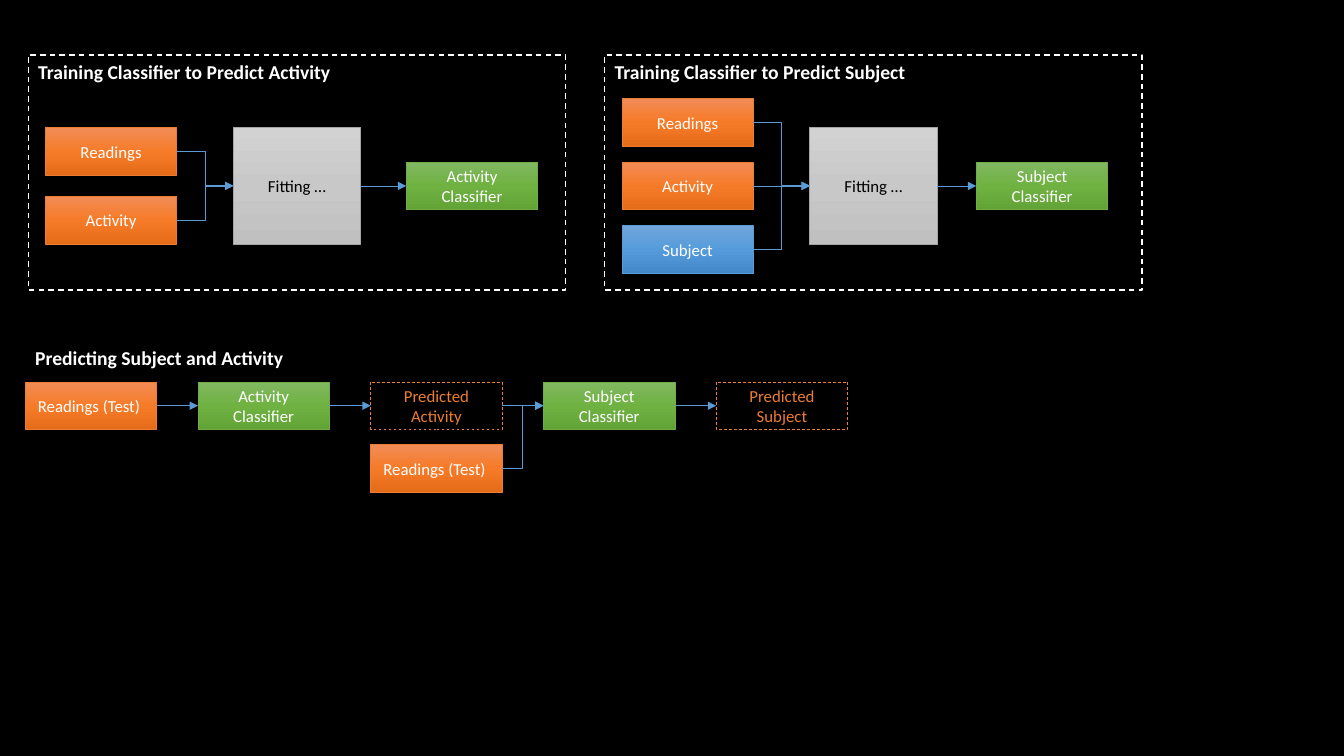
from copy import deepcopy

from lxml import etree
from pptx import Presentation
from pptx.dml.color import RGBColor
from pptx.enum import dml, shapes, text
from pptx.oxml.ns import qn
from pptx.util import Pt

BLACK = RGBColor(0x00, 0x00, 0x00)
WHITE = RGBColor(0xFF, 0xFF, 0xFF)
ORANGE = RGBColor(0xED, 0x7D, 0x31)
BLUE = RGBColor(0x5B, 0x9B, 0xD5)
GREEN = RGBColor(0x70, 0xAD, 0x47)
GREY = RGBColor(0xA5, 0xA5, 0xA5)

# kind: (gradient from top to bottom, outline, text colour)
STYLES = {
    "data": ([RGBColor(0xF1, 0x8C, 0x57), RGBColor(0xF6, 0x7B, 0x28),
              RGBColor(0xE5, 0x6C, 0x19)], ORANGE, WHITE),
    "subject": ([RGBColor(0x71, 0xA6, 0xDB), RGBColor(0x55, 0x9B, 0xDB),
                 RGBColor(0x44, 0x8A, 0xCA)], BLUE, WHITE),
    "classifier": ([RGBColor(0x81, 0xB8, 0x61), RGBColor(0x6F, 0xB2, 0x42),
                    RGBColor(0x62, 0xA3, 0x36)], GREEN, WHITE),
    "fitting": ([RGBColor(0xD2, 0xD2, 0xD2), RGBColor(0xC8, 0xC8, 0xC8),
                 RGBColor(0xC0, 0xC0, 0xC0)], GREY, BLACK),
    "predicted": (None, ORANGE, ORANGE),
}

# title, panel left, classifier left, input pitch, inputs, classifier
PANELS = [
    ("Training Classifier to Predict Activity", 20.2, 290.2, 49,
     [("Readings", "data"), ("Activity", "data")], "Activity Classifier"),
    ("Training Classifier to Predict Subject", 432, 697.4, 45.4,
     [("Readings", "data"), ("Activity", "data"), ("Subject", "subject")],
     "Subject Classifier"),
]
PREDICTION_TITLE = "Predicting Subject and Activity"
PREDICTION_STEPS = [
    ("Readings (Test) ", "data"),
    ("Activity Classifier", "classifier"),
    ("Predicted Activity", "predicted"),
    ("Subject Classifier", "classifier"),
    ("Predicted Subject", "predicted"),
]
SECOND_INPUT = ("Readings (Test) ", "data")

BOX_W, BOX_H = 93.9, 34
FIT_W, FIT_H = 91, 83.6
PANEL_TOP, PANEL_W, PANEL_H = 39.4, 383.8, 167.8
INPUT_DX, FIT_DX = 12.2, 146.5
PANEL_MID = 132.8
ROW_LEFT, ROW_MID, ROW_PITCH = 18, 289.8, 123.4
SECOND_INPUT_DY = 44.8

prs = Presentation()
prs.slide_width, prs.slide_height = Pt(960), Pt(540)
slide = prs.slides.add_slide(prs.slide_layouts[6])
slide.background.fill.solid()
slide.background.fill.fore_color.rgb = BLACK


def write(sp, words, size, color, bold, align):
    tf = sp.text_frame
    tf.word_wrap = True
    tf.text = words
    p = tf.paragraphs[0]
    p.alignment = align
    font = p.runs[0].font
    font.name, font.size, font.bold = "Calibri", Pt(size), bold
    font.color.rgb = color


def rect(x, y, w, h, line, width, dashed):
    sp = slide.shapes.add_shape(shapes.MSO_SHAPE.RECTANGLE,
                                Pt(x), Pt(y), Pt(w), Pt(h))
    sp.shadow.inherit = False
    sp.fill.background()
    sp.line.color.rgb = line
    sp.line.width = Pt(width)
    if dashed:
        sp.line.dash_style = dml.MSO_LINE.DASH
    return sp


def fill_gradient(sp, colors):
    """Fill with three evenly spaced colours, top to bottom."""
    sp.fill.gradient()
    sp.fill.gradient_angle = 270
    stops = sp._element.spPr.find(qn("a:gradFill")).find(qn("a:gsLst"))
    stops.insert(1, deepcopy(stops[0]))
    for i, (stop, color) in enumerate(zip(sp.fill.gradient_stops, colors)):
        stop.position = i / 2
        stop.color.rgb = color


def box(words, kind, x, mid, w=BOX_W, h=BOX_H):
    """Add a flow box whose vertical middle lies at mid."""
    gradient, line, color = STYLES[kind]
    sp = rect(x, mid - h / 2, w, h, line, 0.5, gradient is None)
    if gradient:
        fill_gradient(sp, gradient)
    sp.text_frame.vertical_anchor = text.MSO_ANCHOR.MIDDLE
    write(sp, words, 12, color, False, text.PP_ALIGN.CENTER)
    return sp


def arrow(source, target):
    """Join the right side of source to the left side of target."""
    cxn = slide.shapes.add_connector(shapes.MSO_CONNECTOR.ELBOW, 0, 0, 0, 0)
    cxn.begin_connect(source, 3)
    cxn.end_connect(target, 1)
    cxn.line.color.rgb = BLUE
    cxn.line.width = Pt(0.5)
    etree.SubElement(cxn.line._get_or_add_ln(), qn("a:tailEnd"), type="triangle")
    etree.SubElement(cxn._element.spPr, qn("a:effectLst"))


for title, left, classifier_left, pitch, inputs, classifier in PANELS:
    panel = rect(left, PANEL_TOP, PANEL_W, PANEL_H, WHITE, 1, True)
    panel.text_frame.vertical_anchor = text.MSO_ANCHOR.TOP
    write(panel, title, 14, WHITE, True, text.PP_ALIGN.LEFT)
    fitting = box("Fitting …", "fitting", left + FIT_DX, PANEL_MID, FIT_W, FIT_H)
    for i, (words, kind) in enumerate(inputs):
        mid = PANEL_MID + (i - (len(inputs) - 1) / 2) * pitch
        arrow(box(words, kind, left + INPUT_DX, mid), fitting)
    arrow(fitting, box(classifier, "classifier", classifier_left, PANEL_MID))

heading = slide.shapes.add_textbox(Pt(ROW_LEFT), Pt(243.4), Pt(291), Pt(22.3))
write(heading, PREDICTION_TITLE, 14, WHITE, True, text.PP_ALIGN.LEFT)
steps = [box(words, kind, ROW_LEFT + i * ROW_PITCH, ROW_MID)
         for i, (words, kind) in enumerate(PREDICTION_STEPS)]
for source, target in zip(steps, steps[1:]):
    arrow(source, target)
second = box(*SECOND_INPUT, ROW_LEFT + 2 * ROW_PITCH, ROW_MID + SECOND_INPUT_DY)
arrow(second, steps[3])

prs.save("out.pptx")
